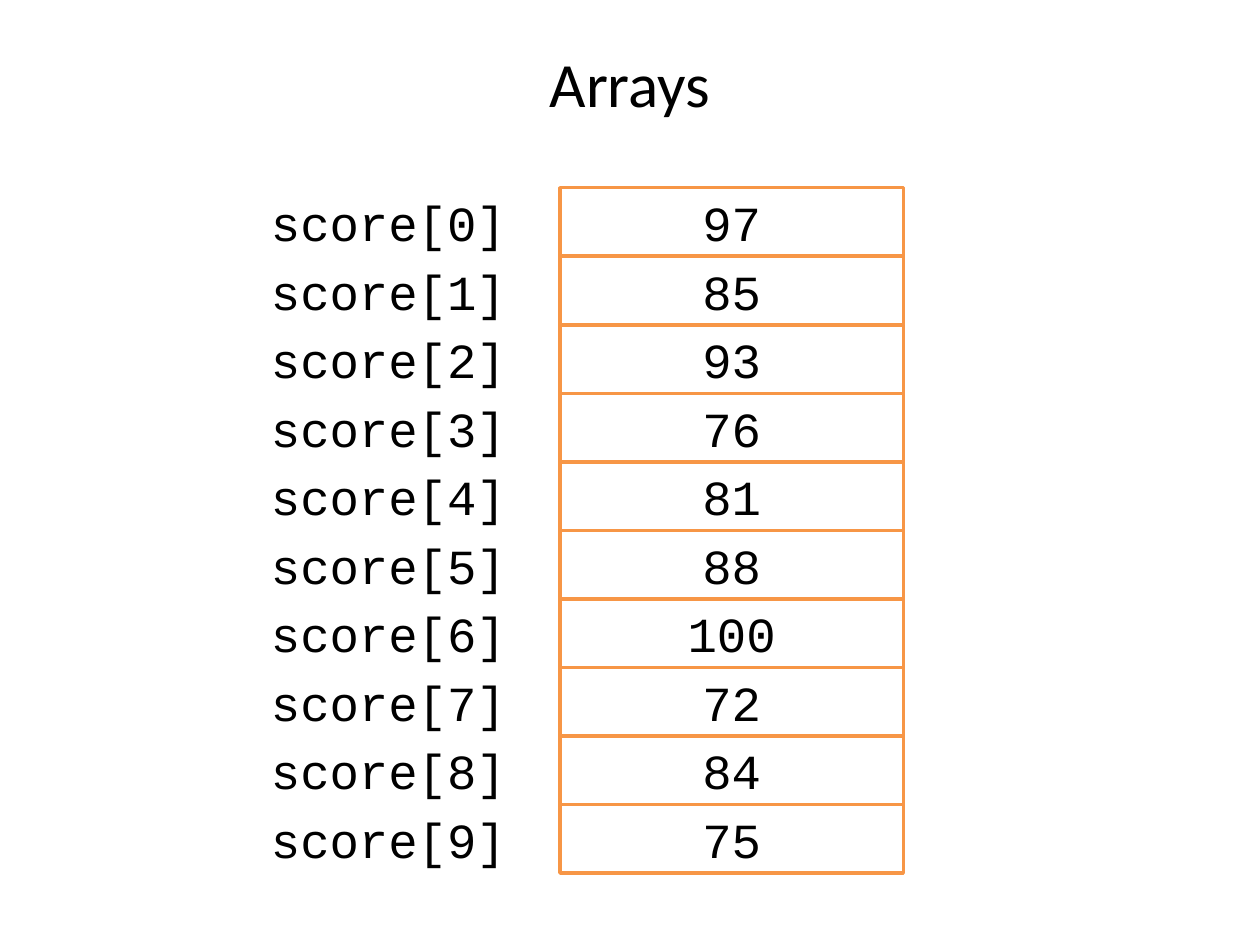
from pptx import Presentation
from pptx.dml.color import RGBColor
from pptx.enum.shapes import MSO_SHAPE
from pptx.enum.text import MSO_ANCHOR, PP_ALIGN
from pptx.util import Inches, Pt

RECT = MSO_SHAPE.RECTANGLE
TOP, MIDDLE = MSO_ANCHOR.TOP, MSO_ANCHOR.MIDDLE
CENTER = PP_ALIGN.CENTER
BLACK = RGBColor(0x00, 0x00, 0x00)
WHITE = RGBColor(0xFF, 0xFF, 0xFF)
ORANGE = RGBColor(0xF7, 0x96, 0x46)

SCORES = [97, 85, 93, 76, 81, 88, 100, 72, 84, 75]


def set_text(sp, text, font, size, anchor):
    """Put one centred line of text in a shape."""
    tf = sp.text_frame
    tf.word_wrap = True
    tf.vertical_anchor = anchor
    p = tf.paragraphs[0]
    p.text = text
    p.alignment = CENTER
    f = p.runs[0].font
    f.name, f.size, f.color.rgb = font, Pt(size), BLACK


def add_title(slide, box, text):
    """Place the slide title in the given box."""
    set_text(slide.shapes.add_textbox(*box), text, "Calibri", 36, TOP)


def add_cell(shapes, box, text, line=None):
    """Place one white cell, outlined if a line colour is given."""
    sp = shapes.add_shape(RECT, *box)
    sp.shadow.inherit = False
    sp.fill.solid()
    sp.fill.fore_color.rgb = WHITE
    if line is None:
        sp.line.fill.background()
    else:
        sp.line.color.rgb = line
        sp.line.width = Pt(2)
    set_text(sp, text, "Courier New", 28, MIDDLE)


def add_array(slide, box, name, values):
    """Draw an array as a column of labels beside a column of values."""
    left, top, width, height = box
    col, row = width // 2, height // len(values)
    labels = [f"{name}[{i}]" for i in range(len(values))]
    for c, (texts, line) in enumerate([(labels, None), (values, ORANGE)]):
        shapes = slide.shapes.add_group_shape().shapes
        for i, text in enumerate(texts):
            cell = (left + c * col, top + i * row, col, row)
            add_cell(shapes, cell, str(text), line)


def main():
    """Build the slide and save it."""
    prs = Presentation()
    prs.slide_width, prs.slide_height = Inches(10), Inches(7.5)
    w, h = prs.slide_width, prs.slide_height
    slide = prs.slides.add_slide(prs.slide_layouts[6])
    title_box = (int(w * 0.05), int(h * 0.04), int(w * 0.9), int(h / 6))
    array_box = (Inches(1.72), Inches(1.49), Inches(5.45), Inches(5.44))
    add_title(slide, title_box, "Arrays")
    add_array(slide, array_box, "score", SCORES)
    prs.save("out.pptx")


if __name__ == "__main__":
    main()
